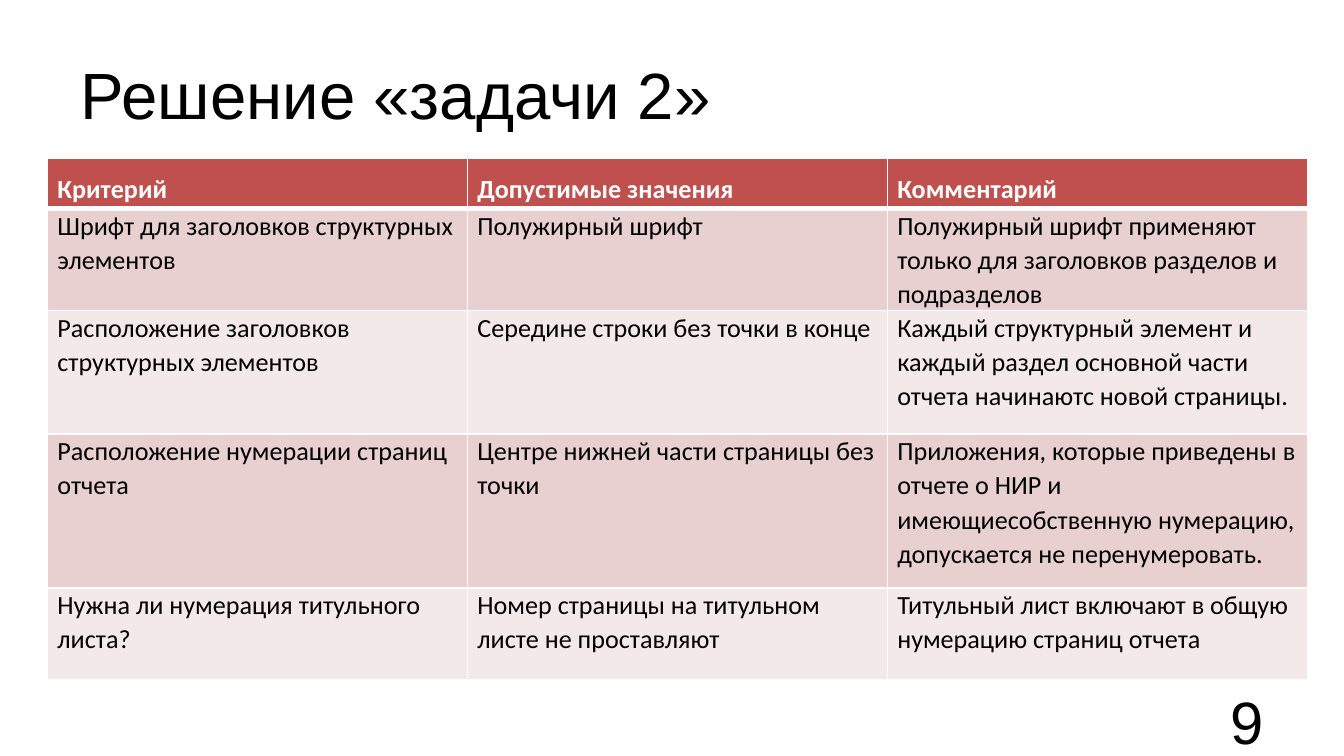
"""Builds the slide with the table of report formatting criteria."""
from lxml import etree
from pptx import Presentation
from pptx.dml.color import RGBColor
from pptx.enum.text import MSO_ANCHOR, MSO_AUTO_SIZE, PP_ALIGN
from pptx.oxml.ns import qn
from pptx.util import Emu, Pt

PX = 9525
LEFT, RIGHT = PP_ALIGN.LEFT, PP_ALIGN.RIGHT
MIDDLE, NO_FIT = MSO_ANCHOR.MIDDLE, MSO_AUTO_SIZE.NONE

BLACK = RGBColor(0x00, 0x00, 0x00)
WHITE = RGBColor(0xFF, 0xFF, 0xFF)
RED = RGBColor(0xC0, 0x50, 0x4D)
PINK = RGBColor(0xE8, 0xD0, 0xD0)
PALE_PINK = RGBColor(0xF4, 0xE9, 0xE9)

ROW_HEIGHTS = [36, 66, 88, 110, 66]
CRITERIA = [
    ("Критерий", "Допустимые значения", "Комментарий"),
    ("Шрифт для заголовков структурных элементов",
     "Полужирный шрифт",
     "Полужирный шрифт применяют только для заголовков разделов и подразделов"),
    ("Расположение заголовков структурных элементов",
     "Середине строки без точки в конце",
     "Каждый структурный элемент и каждый раздел основной части отчета "
     "начинаютс новой страницы."),
    ("Расположение нумерации страниц отчета",
     "Центре нижней части страницы без точки",
     "Приложения, которые приведены в отчете о НИР и имеющиесобственную "
     "нумерацию, допускается не перенумеровать."),
    ("Нужна ли нумерация титульного листа?",
     "Номер страницы на титульном листе не проставляют",
     "Титульный лист включают в общую нумерацию страниц отчета"),
]


def px(*lengths):
    return [Emu(length * PX) for length in lengths]


class SlideBuilder:
    """Holds the style and the current slide."""

    heading_font = "Arial"
    table_font = "Calibri"

    def __init__(self, slide):
        self.slide = slide

    def style(self, paragraph, name, size, color, bold=False):
        font = paragraph.font
        font.name, font.size, font.bold = name, Pt(size), bold
        font.color.rgb = color

    def heading(self, shape, text, size, alignment):
        frame = shape.text_frame
        frame.text = text
        frame.word_wrap = True
        frame.auto_size = NO_FIT
        frame.vertical_anchor = MIDDLE
        paragraph = frame.paragraphs[0]
        paragraph.alignment = alignment
        self.style(paragraph, self.heading_font, size, BLACK)

    def title(self, text, box):
        shape = self.slide.shapes.title
        shape.left, shape.top, shape.width, shape.height = px(*box)
        self.heading(shape, text, 35, LEFT)

    def page_number(self, text, box):
        self.heading(self.slide.shapes.add_textbox(*px(*box)), text, 32, RIGHT)

    def borders(self, cell, top, bottom):
        properties = cell._tc.get_or_add_tcPr()
        widths = {"a:lnL": 1, "a:lnR": 1, "a:lnT": top, "a:lnB": bottom}
        for tag, width in widths.items():
            line = etree.SubElement(properties, qn(tag), w=str(Pt(width)))
            fill = etree.SubElement(line, qn("a:solidFill"))
            etree.SubElement(fill, qn("a:srgbClr"), val=str(WHITE))

    def cell(self, cell, text, row):
        header = row == 0
        self.borders(cell, 3 if row == 1 else 1, 3 if header else 1)
        cell.fill.solid()
        cell.fill.fore_color.rgb = RED if header else PINK if row % 2 else PALE_PINK
        cell.margin_left, cell.margin_top, cell.margin_right, cell.margin_bottom = px(7, 0, 7, 0)
        cell.text = text
        paragraph = cell.text_frame.paragraphs[0]
        paragraph.line_spacing = 1.5 if header else 1.07
        self.style(paragraph, self.table_font, 14, WHITE if header else BLACK, header)

    def table(self, rows, heights, left, top, column_width):
        columns = len(rows[0])
        box = px(left, top, column_width * columns, sum(heights))
        table = self.slide.shapes.add_table(len(rows), columns, *box).table
        for column in table.columns:
            column.width = Emu(column_width * PX)
        for row, (texts, height) in enumerate(zip(rows, heights)):
            table.rows[row].height = Emu(height * PX)
            for column, text in enumerate(texts):
                self.cell(table.cell(row, column), text, row)


def main():
    presentation = Presentation()
    presentation.slide_width, presentation.slide_height = px(960, 540)
    builder = SlideBuilder(presentation.slides.add_slide(presentation.slide_layouts[5]))
    builder.title("Решение «задачи 2»", (48, 22, 864, 90))
    builder.table(CRITERIA, ROW_HEIGHTS, 34, 113, 300)
    builder.page_number("9", (688, 500, 224, 29))
    presentation.save("out.pptx")


if __name__ == "__main__":
    main()
